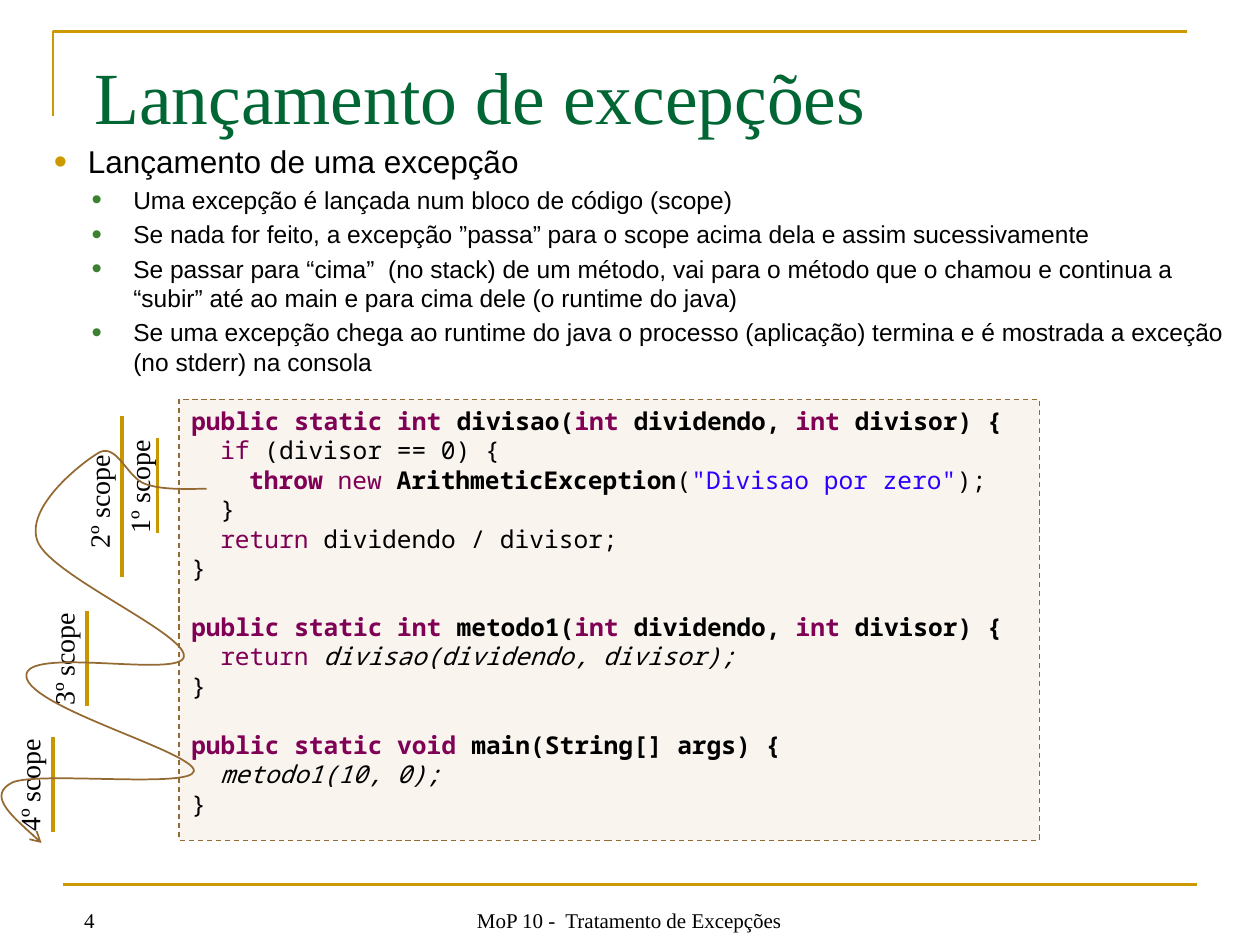
from lxml import etree
from pptx import Presentation
from pptx.dml.color import RGBColor
from pptx.enum.dml import MSO_LINE
from pptx.enum.shapes import MSO_CONNECTOR, MSO_SHAPE
from pptx.enum.text import MSO_ANCHOR, PP_ALIGN
from pptx.oxml.ns import qn
from pptx.util import Emu, Pt

DASH = MSO_LINE.DASH
STRAIGHT = MSO_CONNECTOR.STRAIGHT
RECTANGLE = MSO_SHAPE.RECTANGLE
TOP, BOTTOM = MSO_ANCHOR.TOP, MSO_ANCHOR.BOTTOM
LEFT, CENTER = PP_ALIGN.LEFT, PP_ALIGN.CENTER

EMU_PER_PX = 9144
SERIF, SANS, MONO = "Times New Roman", "Arial", "Noto Sans Mono"
BLACK, GOLD, BROWN = "000000", "CC9900", "946A32"
CODE_LEADING = 16.84
CODE_INDENT = 23

STYLES = {
    "keyword": ("7F0055", True, False),
    "control": ("7F0055", False, False),
    "strong": (BLACK, True, False),
    "plain": (BLACK, False, False),
    "call": (BLACK, False, True),
    "string": ("2A00FF", False, False),
}

POINTS = [
    "Uma excepção é lançada num bloco de código (scope)",
    "Se nada for feito, a excepção ”passa” para o scope acima dela e assim sucessivamente",
    "Se passar para “cima”  (no stack) de um método, vai para o método que o chamou "
    "e continua a “subir” até ao main e para cima dele (o runtime do java)",
    "Se uma excepção chega ao runtime do java o processo (aplicação) termina "
    "e é mostrada a exceção (no stderr) na consola",
]

SCOPES = [
    ("1º scope", 63, 367, 125, 348, 423),
    ("2º scope", 31, 379, 97, 330, 458),
    ("3º scope", 3, 504, 69, 485, 560),
    ("4º scope", -24, 604, 42, 585, 660),
]

PATH_START = (164, 388)
PATH_CURVES = [
    ((146, 388), (129, 389), (115, 384)),
    ((101, 379), (93, 352), (79, 359)),
    ((65, 367), (19, 403), (30, 430)),
    ((41, 457), (148, 503), (146, 521)),
    ((145, 539), (18, 512), (21, 537)),
    ((24, 562), (155, 597), (154, 612)),
    ((152, 626), (31, 612), (10, 621)),
    ((-10, 631), (12, 650), (33, 669)),
]


def px(length):
    """Turn px into EMU."""
    return Emu(length * EMU_PER_PX)


def color(value):
    """Turn a hex string into a colour."""
    return RGBColor.from_string(value)


def style_line(line, value, width):
    """Set the colour and width of a line."""
    line.color.rgb = color(value)
    line.width = Pt(width)


def style_font(font, name, size, value=BLACK):
    """Set typeface, size and colour of a font."""
    font.name = name
    font.size = Pt(size)
    font.color.rgb = color(value)


def add_line(page, start, end, value, width):
    """Draw a straight line without a shadow."""
    line = page.shapes.add_connector(STRAIGHT, *map(px, start + end))
    style_line(line.line, value, width)
    etree.SubElement(line._element.spPr, qn("a:effectLst"))


def add_outline(page, points, value, width):
    """Draw an open unfilled outline through the points."""
    builder = page.shapes.build_freeform(*points[0], scale=EMU_PER_PX)
    builder.add_line_segments(points[1:], close=False)
    outline = builder.convert_to_shape()
    outline.shadow.inherit = False
    outline.fill.background()
    style_line(outline.line, value, width)
    return outline


def add_label(page, box, text, size, value=BLACK, wrap=True, anchor=TOP, align=LEFT):
    """Place one line of serif text in a box."""
    label = page.shapes.add_textbox(*map(px, box))
    frame = label.text_frame
    frame.word_wrap = wrap
    frame.vertical_anchor = anchor
    para = frame.paragraphs[0]
    para.text = text
    para.alignment = align
    style_font(para.font, SERIF, size, value)
    return label


def indent(para, margin, hanging=0):
    """Set the left margin and hanging indent of a paragraph."""
    properties = para._p.get_or_add_pPr()
    properties.set("marL", str(px(margin)))
    properties.set("indent", str(px(-hanging)))
    return properties


def add_bullet(para, value, margin, hanging):
    """Give a paragraph a coloured round bullet."""
    properties = indent(para, margin, hanging)
    bullet_color = etree.Element(qn("a:buClr"))
    etree.SubElement(bullet_color, qn("a:srgbClr"), val=value)
    size = etree.Element(qn("a:buSzPct"), val="120000")
    typeface = etree.Element(qn("a:buFont"), typeface=SANS)
    character = etree.Element(qn("a:buChar"), char="•")
    position = len(properties.findall(qn("a:lnSpc")) + properties.findall(qn("a:spcBef")))
    for offset, part in enumerate((bullet_color, size, typeface, character)):
        properties.insert(position + offset, part)


def add_points(page, box):
    """Write the heading bullet and its second-level points."""
    frame = page.shapes.add_textbox(*map(px, box)).text_frame
    frame.word_wrap = True
    for number, text in enumerate(["Lançamento de uma excepção"] + POINTS):
        para = frame.add_paragraph() if number else frame.paragraphs[0]
        para.text = text
        para.level = 1 if number else 0
        para.space_before = Pt(2.8 if number else 1.8)
        style_font(para.font, SANS, 14 if number else 18)
        if number:
            add_bullet(para, "3B812F", 63, 33)
        else:
            add_bullet(para, GOLD, 27, 31)


def signature(name):
    """Return the spans of a method that takes two integers."""
    return [("keyword", "public static int "), ("strong", name + "("), ("keyword", "int "),
            ("strong", "dividendo, "), ("keyword", "int"), ("strong", " divisor) {")]


def code_lines():
    """Return each code line as its depth and its spans."""
    close = [("plain", "}")]
    return [
        (0, signature("divisao")),
        (1, [("control", "if"), ("plain", " (divisor == 0) {")]),
        (2, [("keyword", "throw "), ("control", "new "), ("strong", "ArithmeticException"),
             ("plain", "("), ("string", '"Divisao por zero"'), ("plain", ");")]),
        (1, close),
        (1, [("control", "return "), ("plain", "dividendo / divisor;")]),
        (0, close),
        (0, signature("metodo1")),
        (1, [("control", "return "), ("call", "divisao(dividendo, divisor);")]),
        (0, close),
        (0, [("keyword", "public static void"), ("strong", " main(String[] args) {")]),
        (1, [("call", "metodo1(10, 0);")]),
        (0, close),
    ]


def add_code(page, box):
    """Draw the dashed panel with the highlighted code."""
    panel = page.shapes.add_shape(RECTANGLE, *map(px, box))
    panel.shadow.inherit = False
    panel.fill.solid()
    panel.fill.fore_color.rgb = color("F9F4EE")
    style_line(panel.line, BROWN, 0.75)
    panel.line.dash_style = DASH
    frame = panel.text_frame
    frame.word_wrap = True
    frame.vertical_anchor = TOP
    for number, (depth, spans) in enumerate(code_lines()):
        para = frame.add_paragraph() if number else frame.paragraphs[0]
        para.alignment = LEFT
        para.line_spacing = Pt(CODE_LEADING)
        starts_method = number and spans[0][1].startswith("public")
        para.space_before = Pt(CODE_LEADING if starts_method else 0)
        indent(para, depth * CODE_INDENT)
        para.font.name = MONO
        para.font.size = Pt(14)
        for style, text in spans:
            span = para.add_run()
            span.text = text
            value, span.font.bold, span.font.italic = STYLES[style]
            span.font.color.rgb = color(value)


def add_scopes(page):
    """Draw each scope bar with its upright label."""
    for text, left, top, bar, start, end in SCOPES:
        add_line(page, (bar, start), (bar, end), "C89600", 2.25)
        add_label(page, (left, top, 95, 37), text, 16, wrap=False).rotation = 270


def add_exception_path(page):
    """Draw the curved arrow that climbs through the scopes."""
    anchors = [PATH_START] + [curve[-1] for curve in PATH_CURVES]
    outline = add_outline(page, anchors, BROWN, 1)
    left, top = (min(values) for values in zip(*anchors))
    segments = list(outline._element.iter(qn("a:lnTo")))
    for segment, curve in zip(segments, PATH_CURVES):
        segment.tag = qn("a:cubicBezTo")
        segment.clear()
        for x, y in curve:
            etree.SubElement(segment, qn("a:pt"), x=str(x - left), y=str(y - top))
    etree.SubElement(outline.line._get_or_add_ln(), qn("a:tailEnd"), type="arrow")


def add_frame(page):
    """Draw the rules, title, page number and footer."""
    add_line(page, (50, 702), (950, 702), GOLD, 1.5)
    add_outline(page, [(42, 92), (42, 25), (942, 25)], GOLD, 1.5)
    title = add_label(page, (50, 30, 900, 85), "Lançamento de excepções", 42, "006633", anchor=BOTTOM)
    title.text_frame.margin_left = px(25)
    add_label(page, (57, 715, 38, 30), "4", 12, wrap=False)
    add_label(page, (308, 710, 383, 35), "MoP 10 -  Tratamento de Excepções", 12,
              anchor=BOTTOM, align=CENTER)


def main():
    """Build the slide and save it."""
    deck = Presentation()
    deck.slide_width, deck.slide_height = px(1000), px(750)
    page = deck.slides.add_slide(deck.slide_layouts[6])
    add_frame(page)
    add_points(page, (33, 108, 950, 217))
    add_code(page, (142, 317, 683, 350))
    add_scopes(page)
    add_exception_path(page)
    deck.save("out.pptx")


if __name__ == "__main__":
    main()
